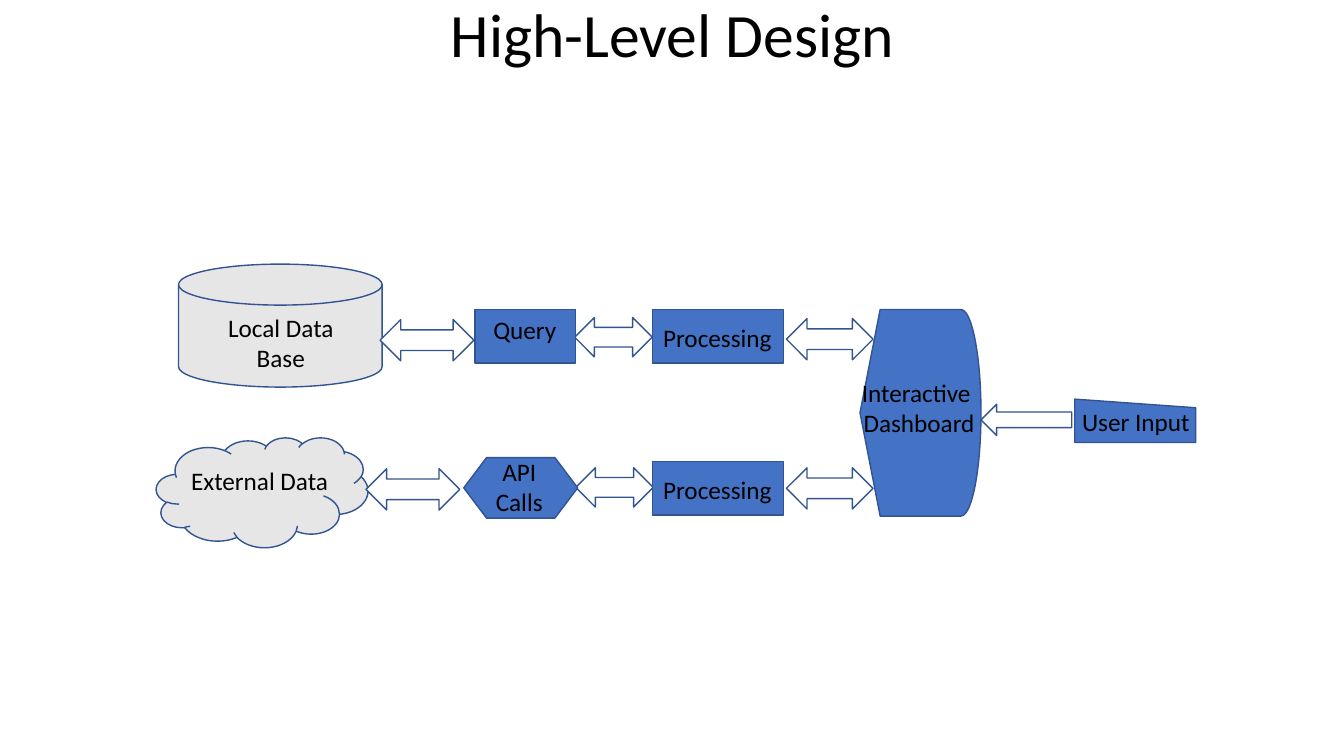
from pptx import Presentation
from pptx.dml.color import RGBColor
from pptx.enum.shapes import MSO_SHAPE as Geo
from pptx.enum.text import MSO_ANCHOR as Anchor, PP_ALIGN as Align
from pptx.util import Inches, Pt

BLUE, GREY, WHITE, EDGE, BLACK = "4472C4", "E7E6E6", "FFFFFF", "325491", "000000"


def color(code):
    return RGBColor.from_string(code)


def style(para, size):
    para.alignment = Align.CENTER
    font = para.font
    for key, value in {"name": "Calibri", "size": Pt(size), "bold": False}.items():
        setattr(font, key, value)
    font.color.rgb = color(BLACK)


def draw(slide, geo, box, fill):
    shape = slide.shapes.add_shape(geo, *map(Inches, box))
    shape.shadow.inherit = False
    shape.fill.solid()
    shape.fill.fore_color.rgb = color(fill)
    shape.line.color.rgb = color(EDGE)
    shape.line.width = Pt(1)
    return shape


def label(slide, text, box):
    frame = slide.shapes.add_textbox(*map(Inches, box)).text_frame
    frame.word_wrap = True
    frame.text = text
    for para in frame.paragraphs:
        style(para, 18)


def title(slide, text, box):
    shape = slide.shapes.title
    for key, value in zip(("left", "top", "width", "height"), box):
        setattr(shape, key, Inches(value))
    frame = shape.text_frame
    frame.text = text
    frame.vertical_anchor = Anchor.TOP
    frame.paragraphs[0].line_spacing = 0.9
    style(frame.paragraphs[0], 44)


def node(slide, geo, fill, box, text, area):
    """Shape in its box, with a label area measured from the box corner."""
    shape = draw(slide, geo, box, fill)
    left, top, *size = area
    label(slide, text, (box[0] + left, box[1] + top, *size))
    return shape


def lane(slide, left, top, source, step, links):
    """One data path: source, request step, processing, and their arrows."""
    work = (Geo.FLOWCHART_PROCESS, BLUE, (4.92, 0.45, 1.3, 0.53),
            "Processing", (-0.27, 0.08, 1.83, 0.4))
    # Arrows lie over the source and under the boxes
    parts = [source, *links, step, work]
    for part in parts:
        if len(part) == 4:
            x, y, wide, high = part
            draw(slide, Geo.LEFT_RIGHT_ARROW, (left + x, top + y, wide, high), WHITE)
        else:
            geo, fill, (x, y, wide, high), text, area = part
            node(slide, geo, fill, (left + x, top + y, wide, high), text, area)


def panel(slide, left, top):
    """Dashboard with the user input that feeds it."""
    node(slide, Geo.FLOWCHART_DISPLAY, BLUE, (left, top, 1.2, 2.05),
         "Interactive \nDashboard", (-0.79, 0.62, 2.75, 0.71))
    draw(slide, Geo.LEFT_ARROW, (left + 1.2, top + 0.94, 0.9, 0.31), WHITE)
    entry = node(slide, Geo.FLOWCHART_MANUAL_INPUT, BLUE,
                 (left + 2.13, top + 0.89, 1.2, 0.43),
                 "User Input", (-0.25, 0.02, 1.71, 0.4))
    entry.element.spPr.xfrm.set("flipH", "1")


def main():
    deck = Presentation()
    deck.slide_width, deck.slide_height = Inches(13.33), Inches(7.5)
    slide = deck.slides.add_slide(deck.slide_layouts[5])
    title(slide, "High-Level Design", (0.92, -0.01, 11.5, 1.06))

    # Local data path
    lane(slide, 1.55, 2.62,
         (Geo.FLOWCHART_MAGNETIC_DISK, GREY, (0.22, 0, 2.02, 1.22),
          "Local Data Base", (0.19, 0.43, 1.65, 0.71)),
         (Geo.FLOWCHART_PROCESS, BLUE, (3.16, 0.45, 1, 0.53),
          "Query", (-0.21, 0, 1.41, 0.4)),
         [(2.22, 0.55, 0.93, 0.41), (4.15, 0.53, 0.77, 0.39), (6.25, 0.54, 0.86, 0.41)])

    # External data path
    lane(slide, 1.55, 4.13,
         (Geo.CLOUD, GREY, (0, 0.21, 2.1, 1.09),
          "External Data", (0.11, 0.23, 1.83, 0.4)),
         (Geo.FLOWCHART_PREPARATION, BLUE, (3.05, 0.41, 1.13, 0.6),
          "API\nCalls", (-0.19, -0.06, 1.48, 0.71)),
         [(2.08, 0.52, 0.93, 0.41), (4.16, 0.51, 0.77, 0.39), (6.25, 0.51, 0.86, 0.41)])

    panel(slide, 8.53, 3.07)
    deck.save("out.pptx")


if __name__ == "__main__":
    main()
